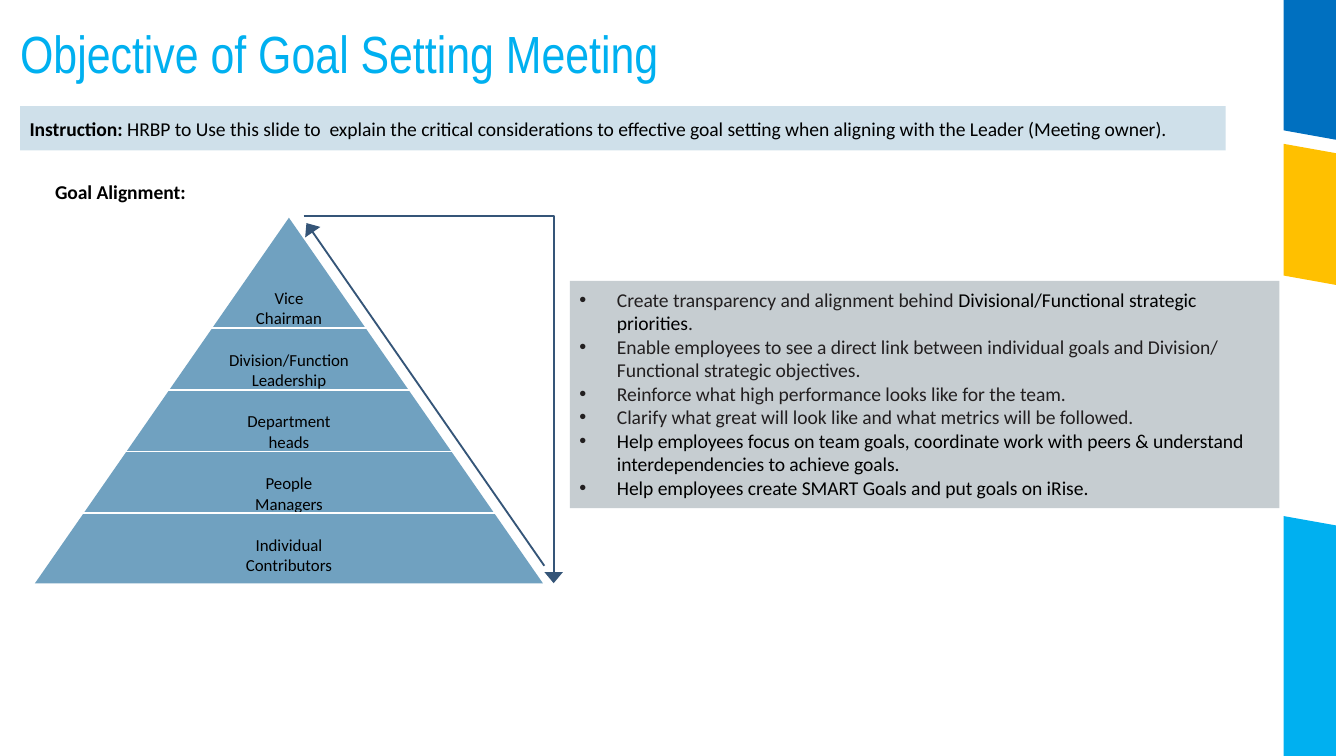
"""Build the goal setting slide with its alignment pyramid and list of objectives."""
import pptx
import pptx.dml.color
import pptx.enum.shapes
import pptx.enum.text
import pptx.oxml
import pptx.oxml.ns
import pptx.util

Inches, Pt = pptx.util.Inches, pptx.util.Pt
SHAPE = pptx.enum.shapes.MSO_SHAPE
ANCHOR = pptx.enum.text.MSO_ANCHOR
ALIGN = pptx.enum.text.PP_ALIGN
BLACK, DARK, NAVY, SKY = "000000", "221F20", "355578", "00B0F0"
SLIDE_WIDTH = 10
SLIDE_HEIGHT = SLIDE_WIDTH * 9 / 16

TITLE = "Objective of Goal Setting Meeting"
INSTRUCTION = [
    ("Instruction: ", BLACK, True),
    ("HRBP to Use this slide to  explain the critical considerations to effective "
     "goal setting when aligning with the Leader (Meeting owner).", BLACK, False),
]
HEADING = [("Goal Alignment:", BLACK, True)]
LEVELS = [
    ("Vice Chairman", 0.66),
    ("Division/Function Leadership", 1.3),
    ("Department heads", 0.8),
    ("People Managers", 0.74),
    ("Individual Contributors", 0.9),
]
OBJECTIVES = [
    [("Create transparency and alignment behind ", DARK, False),
     ("Divisional/Functional strategic priorities", BLACK, False),
     (".", DARK, False)],
    [("Enable employees to see a direct link between individual goals and Division/ "
      "Functional strategic objectives.", DARK, False)],
    [("Reinforce what high performance looks like for the team.", DARK, False)],
    [("Clarify what great will look like and what metrics will be followed.", DARK, False)],
    [("Help employees focus on team goals, coordinate work with peers & understand "
      "interdependencies to achieve goals.", BLACK, False)],
    [("Help employees create SMART Goals and put goals on iRise.", BLACK, False)],
]
BAND_LEFT, BAND_RIGHT, BAND_SLANT = 9.55, 9.94, 0.07
BANDS = [
    (SKY, 3.84, SLIDE_HEIGHT, BAND_SLANT, 0),
    ("FFC000", 1.07, 2.05, BAND_SLANT, BAND_SLANT),
    ("0070C0", 0, 0.97, 0, BAND_SLANT),
]
BRACKET = [(2.26, 1.61), (4.12, 1.61), (4.12, 4.34)]
PYRAMID_CENTER, LEVEL_TOP, LEVEL_STEP, DIVIDER_TOP = 2.15, 2.09, 0.46, 2.44


def rgb(value):
    return pptx.dml.color.RGBColor.from_string(value)


def assign(target, values):
    for name, value in values.items():
        setattr(target, name, value)


def paint(shape, color):
    shape.shadow.inherit = False
    shape.fill.solid()
    shape.fill.fore_color.rgb = rgb(color)
    shape.line.fill.background()
    return shape


def append_xml(parent, tag, attributes="", inner=""):
    parent.append(pptx.oxml.parse_xml(
        f"<a:{tag} {pptx.oxml.ns.nsdecls('a')} {attributes}>{inner}</a:{tag}>"))


def stroke(shape, color, arrow=False):
    shape.line.color.rgb = rgb(color)
    shape.line.width = Pt(1)
    if arrow:
        append_xml(shape.line._get_or_add_ln(), "tailEnd", 'type="triangle" w="lg" len="med"')


def write(shape, paragraphs, size=10.5, font="Calibri", align=ALIGN.LEFT,
          insets=(0.07, 0.05, 0.1, 0.05), anchor=ANCHOR.TOP, bullets=False):
    frame = shape.text_frame
    left, top, right, bottom = map(Inches, insets)
    assign(frame, {"word_wrap": True, "vertical_anchor": anchor,
                   "margin_left": left, "margin_top": top,
                   "margin_right": right, "margin_bottom": bottom})
    for index, runs in enumerate(paragraphs):
        paragraph = frame.add_paragraph() if index else frame.paragraphs[0]
        paragraph.alignment = align
        if bullets:
            properties = paragraph._p.get_or_add_pPr()
            properties.set("marL", str(Inches(0.28)))
            properties.set("indent", str(-Inches(0.28)))
            append_xml(properties, "buClr", inner=f'<a:srgbClr val="{DARK}"/>')
            append_xml(properties, "buSzPct", 'val="101000"')
            append_xml(properties, "buFont", 'typeface="Arial"')
            append_xml(properties, "buChar", 'char="•"')
        for text, color, bold in runs:
            run = paragraph.add_run()
            run.text = text
            assign(run.font, {"size": Pt(size), "name": font, "bold": bold})
            run.font.color.rgb = rgb(color)


def add_block(shapes, kind, box, color):
    return paint(shapes.add_shape(kind, *map(Inches, box)), color)


def add_path(shapes, points, close):
    start, *rest = [(Inches(x), Inches(y)) for x, y in points]
    builder = shapes.build_freeform(*start, scale=1.0)
    builder.add_line_segments(rest, close=close)
    return builder.convert_to_shape()


def add_line(shapes, start, end, color, arrow=False):
    line = shapes.add_connector(pptx.enum.shapes.MSO_CONNECTOR.STRAIGHT,
                                *map(Inches, (*start, *end)))
    stroke(line, color, arrow)
    append_xml(line._element.spPr, "effectLst")


def add_pyramid(shapes):
    bracket = add_path(shapes, BRACKET, close=False)
    bracket.shadow.inherit = False
    bracket.fill.background()
    stroke(bracket, NAVY, arrow=True)
    add_block(shapes, SHAPE.ISOSCELES_TRIANGLE, (0.26, 1.62, 3.78, 2.72), "70A1C0")
    for index, (label, width) in enumerate(LEVELS):
        box = (PYRAMID_CENTER - width / 2, LEVEL_TOP + index * LEVEL_STEP, width, 0.25)
        write(shapes.add_textbox(*map(Inches, box)), [[(label, BLACK, False)]],
              size=9, align=ALIGN.CENTER, insets=(0, 0.05, 0, 0.05))
    for index in range(len(LEVELS) - 1):
        y = DIVIDER_TOP + index * LEVEL_STEP
        add_line(shapes, (0.24, y), (4.06, y), "FFFFFF")
    add_line(shapes, (4.05, 4.21), (2.28, 1.66), NAVY, arrow=True)


def main():
    deck = pptx.Presentation()
    assign(deck, {"slide_width": Inches(SLIDE_WIDTH), "slide_height": Inches(SLIDE_HEIGHT)})
    shapes = deck.slides.add_slide(deck.slide_layouts[5]).shapes

    for color, top, bottom, top_slant, bottom_slant in BANDS:
        corners = [(BAND_LEFT, top), (BAND_RIGHT, top + top_slant),
                   (BAND_RIGHT, bottom + bottom_slant), (BAND_LEFT, bottom)]
        paint(add_path(shapes, corners, close=True), color)

    title = shapes.title
    assign(title, {"left": Inches(0.15), "top": Inches(0.26),
                   "width": Inches(9.25), "height": Inches(0.37)})
    write(title, [[(TITLE, SKY, False)]], size=28, font="Arial Narrow",
          insets=(0, 0, 0, 0), anchor=ANCHOR.BOTTOM)
    title.text_frame.auto_size = pptx.enum.text.MSO_AUTO_SIZE.NONE
    title.text_frame.paragraphs[0].line_spacing = 0.9

    add_pyramid(shapes)
    objectives = add_block(shapes, SHAPE.RECTANGLE, (4.24, 2.09, 5.28, 1.69), "C6CDD1")
    write(objectives, OBJECTIVES, bullets=True)
    write(shapes.add_textbox(*map(Inches, (0.33, 1.29, 2.13, 0.28))), [HEADING],
          insets=(0.08, 0.05, 0.1, 0.05))
    instruction = add_block(shapes, SHAPE.RECTANGLE, (0.15, 0.79, 8.97, 0.33), "CFE0EA")
    write(instruction, [INSTRUCTION], insets=(0.07, 0.04, 0.07, 0.04), anchor=ANCHOR.MIDDLE)

    deck.save("out.pptx")


if __name__ == "__main__":
    main()
